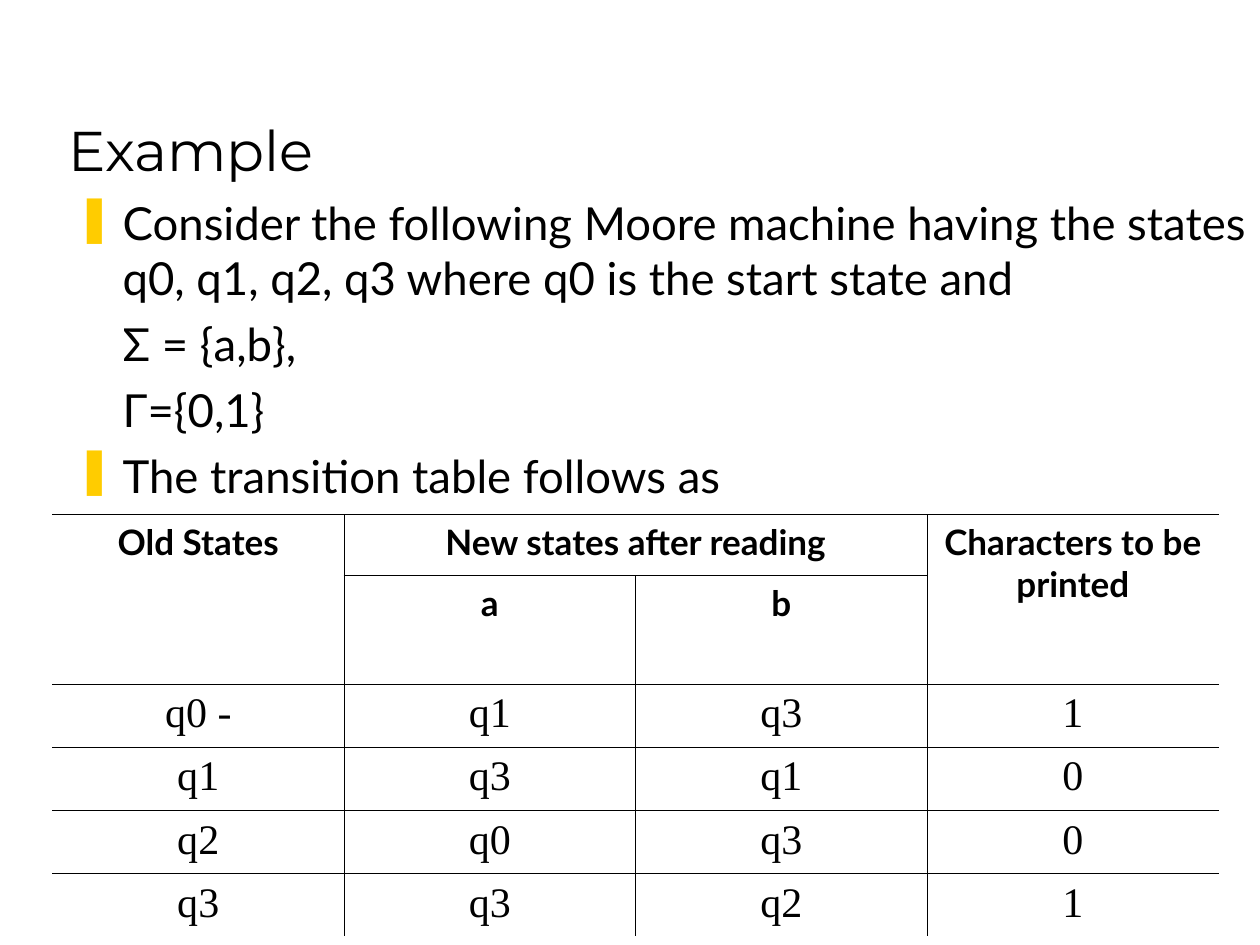
"""Build the Moore machine example slide with its transition table."""
from lxml.etree import SubElement
from pptx import Presentation
from pptx.dml.color import RGBColor
from pptx.enum.text import MSO_ANCHOR, PP_ALIGN
from pptx.oxml.ns import qn
from pptx.util import Pt

TITLE = "Example"
BODY = [
    ("Consider the following Moore machine having the states "
     "q0, q1, q2, q3 where q0 is the start state and", True),
    ("Σ = {a,b},", False),
    ("Γ={0,1}", False),
    ("The transition table follows as", True),
]
HEADER_ROWS = 2
ROWS = [
    ["Old States", "New states after reading", "", "Characters to be printed"],
    ["", "a", "b", ""],
    ["q0 -", "q1", "q3", "1"],
    ["q1", "q3", "q1", "0"],
    ["q2", "q0", "q3", "0"],
    ["q3", "q3", "q2", "1"],
]
MERGES = [((0, 0), (1, 0)), ((0, 1), (0, 2)), ((0, 3), (1, 3))]
ROW_HEIGHTS = [34.8, 62.2, 33.9, 33.9, 33.9, 33.9]
COL_WIDTH = 166.6
BLACK, WHITE, GOLD = "000000", "FFFFFF", "FFCC00"


def rgb(color):
    return RGBColor.from_string(color)


def style(p, size, name, bold=False):
    for r in p.runs:
        r.font.size, r.font.name, r.font.bold = Pt(size), name, bold
        r.font.color.rgb = rgb(BLACK)


def add_text(s, left, top, width, height):
    tf = s.shapes.add_textbox(Pt(left), Pt(top), Pt(width), Pt(height)).text_frame
    tf.word_wrap = True
    return tf


def set_indent(p, bullet):
    pPr = p._p.get_or_add_pPr()
    pPr.set("marL", str(Pt(27)))
    pPr.set("indent", str(Pt(-27 if bullet else 0)))
    if bullet:
        SubElement(SubElement(pPr, qn("a:buClr")), qn("a:srgbClr"), val=GOLD)
        SubElement(pPr, qn("a:buChar"), char="❚")
    else:
        SubElement(pPr, qn("a:buNone"))


def set_borders(cell, visible):
    tcPr = cell._tc.get_or_add_tcPr()
    for side, shown in visible.items():
        ln = SubElement(tcPr, qn(f"a:ln{side}"), w=str(Pt(0.45)))
        if shown:
            SubElement(SubElement(ln, qn("a:solidFill")), qn("a:srgbClr"), val=BLACK)
        else:
            SubElement(ln, qn("a:noFill"))


def add_table(s):
    n_rows, n_cols = len(ROWS), len(ROWS[0])
    table = s.shapes.add_table(n_rows, n_cols, Pt(30), Pt(294),
                               Pt(COL_WIDTH * n_cols), Pt(sum(ROW_HEIGHTS))).table
    for col in table.columns:
        col.width = Pt(COL_WIDTH)
    for row, height in zip(table.rows, ROW_HEIGHTS):
        row.height = Pt(height)
    for i, texts in enumerate(ROWS):
        header = i < HEADER_ROWS
        for j, text in enumerate(texts):
            cell = table.cell(i, j)
            cell.text = text
            p = cell.text_frame.paragraphs[0]
            p.alignment = PP_ALIGN.CENTER
            style(p, *((20, "Lato") if header else (24, "Times New Roman")), header)
            set_borders(cell, {"L": j > 0, "R": j < n_cols - 1,
                               "T": True, "B": i < n_rows - 1})
            cell.fill.solid()
            cell.fill.fore_color.rgb = rgb(WHITE)
    for first, last in MERGES:
        table.cell(*first).merge(table.cell(*last))


def main():
    prs = Presentation()
    prs.slide_width, prs.slide_height = Pt(720), Pt(540)
    s = prs.slides.add_slide(prs.slide_layouts[6])

    tf = add_text(s, 32, 18, 612, 90)
    tf.vertical_anchor = MSO_ANCHOR.BOTTOM
    tf.text = TITLE
    style(tf.paragraphs[0], 32, "Montserrat")

    tf = add_text(s, 36, 108, 684, 408)
    tf.text = "\n".join(text for text, _ in BODY)
    for i, (p, (_, bullet)) in enumerate(zip(tf.paragraphs, BODY)):
        set_indent(p, bullet)
        p.space_before = Pt(6.5 if i else 0)
        style(p, 26, "Lato")

    add_table(s)
    prs.save("out.pptx")


if __name__ == "__main__":
    main()
